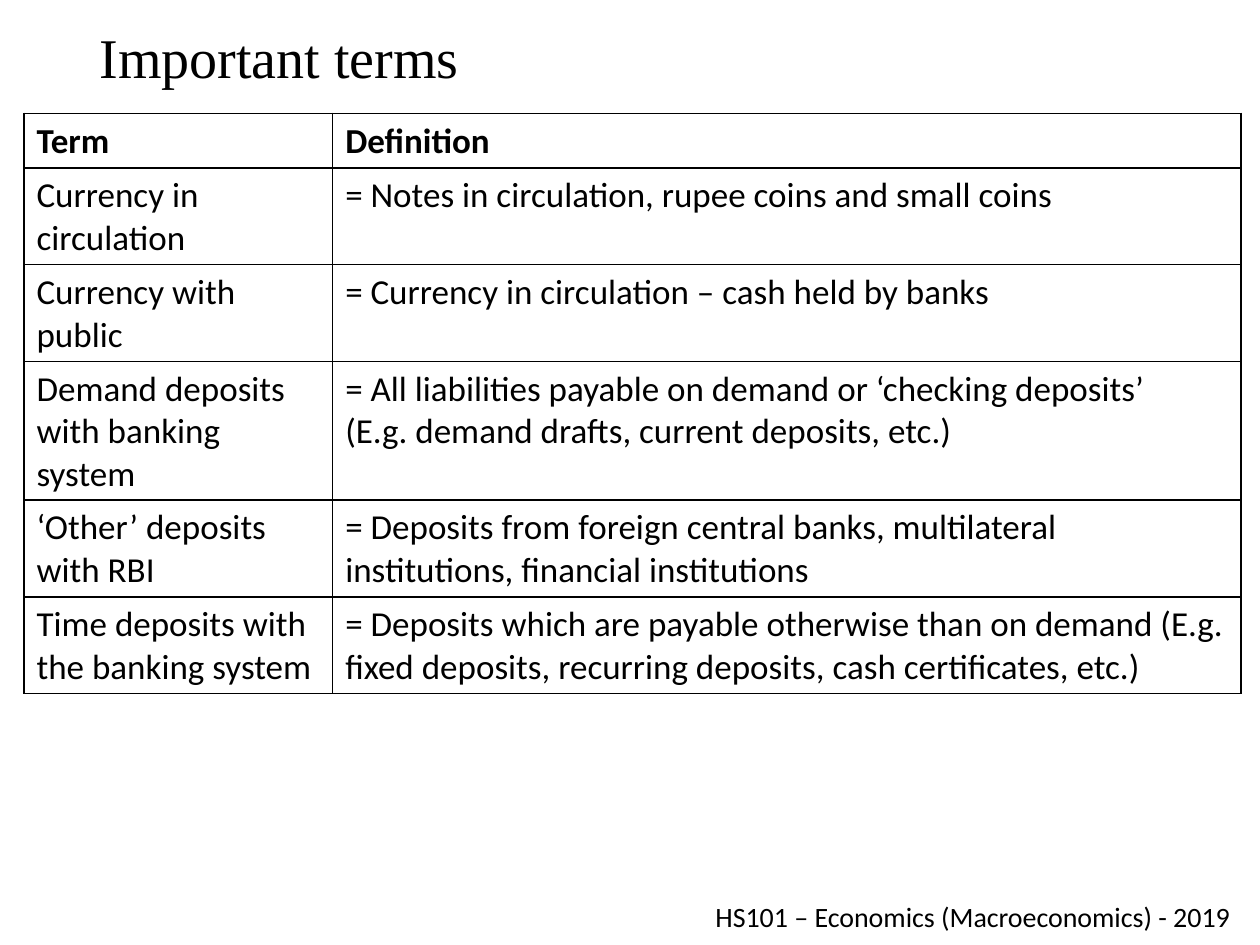
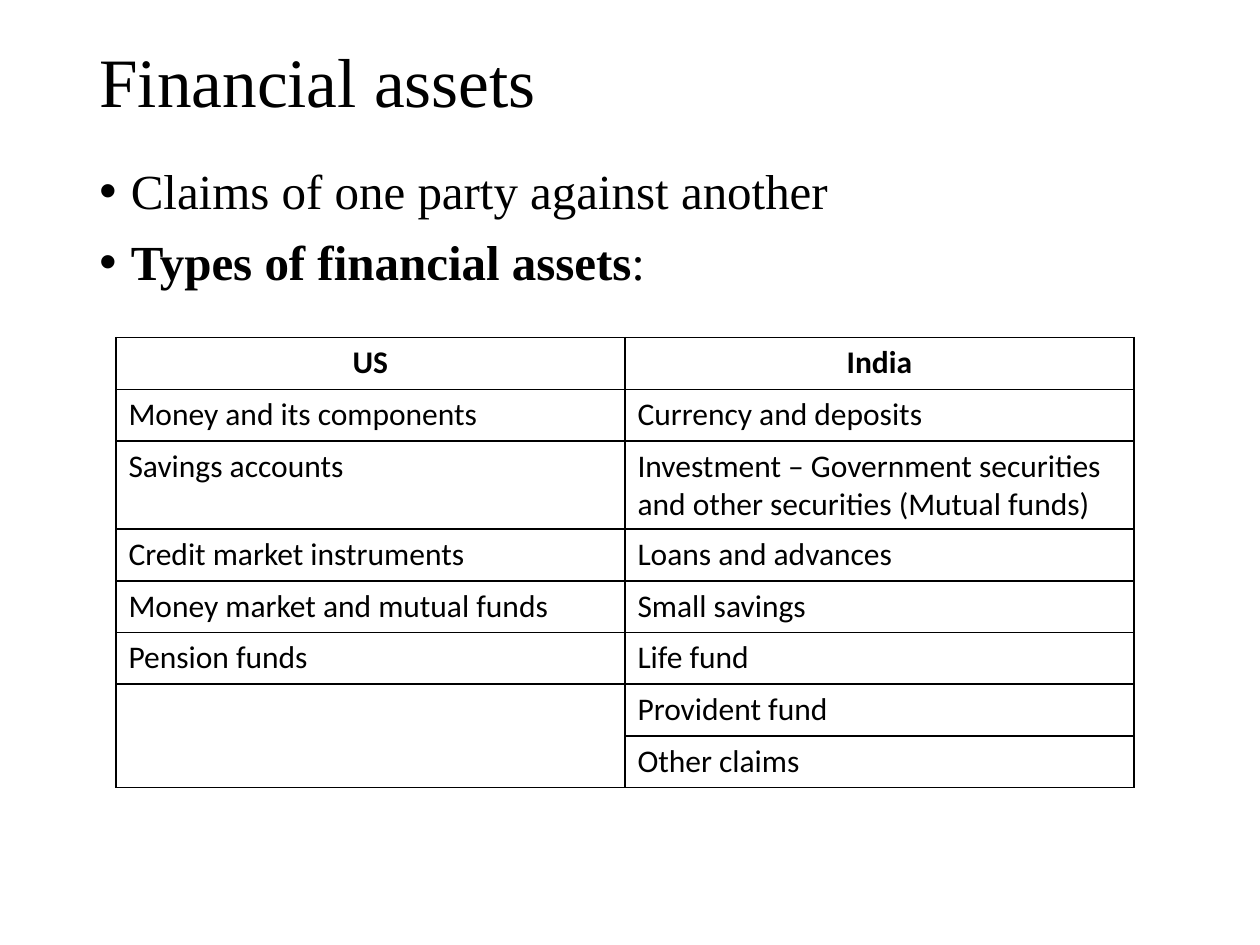
from dataclasses import dataclass

from lxml import etree
from pptx import Presentation
from pptx.dml.color import RGBColor
from pptx.enum.text import MSO_ANCHOR, PP_ALIGN
from pptx.oxml.ns import qn
from pptx.util import Inches, Pt

LEFT, CENTER = PP_ALIGN.LEFT, PP_ALIGN.CENTER
TOP, MIDDLE = MSO_ANCHOR.TOP, MSO_ANCHOR.MIDDLE
BLANK_LAYOUT = 6


@dataclass(frozen=True)
class Theme:
    ink: str = "000000"
    paper: str = "FFFFFF"
    heading_font: str = "Times New Roman"
    table_font: str = "Calibri"
    bullet_size: float = 28
    footer_size: float = 16
    border_width: float = 1
    line_spacing: float = 0.9


THEME = Theme()
TEXT_LEFT, TEXT_WIDTH = 0.69, 8.62

TERMS = [
    ("Term", "Definition"),
    ("Currency in circulation", "= Notes in circulation, rupee coins and small coins"),
    ("Currency with public", "= Currency in circulation – cash held by banks"),
    ("Demand deposits with banking system",
     "= All liabilities payable on demand or ‘checking deposits’\n"
     "(E.g. demand drafts, current deposits, etc.)"),
    ("‘Other’ deposits with RBI",
     "= Deposits from foreign central banks, multilateral institutions, financial institutions"),
    ("Time deposits with the banking system",
     "= Deposits which are payable otherwise than on demand "
     "(E.g. fixed deposits, recurring deposits, cash certificates, etc.)"),
]

ASSETS = [
    ("US", "India"),
    ("Money and its components", "Currency and deposits"),
    ("Savings accounts",
     "Investment – Government securities and other securities (Mutual funds)"),
    ("Credit market instruments", "Loans and advances"),
    ("Money market and mutual funds", "Small savings"),
    ("Pension funds", "Life fund"),
    ("", "Provident fund"),
    ("", "Other claims"),
]


def write_text(paragraph, text, *, size, font, color, bold=False, align=LEFT):
    paragraph.alignment = align
    run = paragraph.add_run()
    run.text = text
    run.font.size = Pt(size)
    run.font.name = font
    run.font.bold = bold
    run.font.color.rgb = RGBColor.from_string(color)


class Deck:
    def __init__(self, theme):
        self.theme = theme
        self.presentation = Presentation()
        self.presentation.slide_width = Inches(10)
        self.presentation.slide_height = Inches(7.5)
        self.slide = None

    def add_slide(self):
        layout = self.presentation.slide_layouts[BLANK_LAYOUT]
        self.slide = self.presentation.slides.add_slide(layout)
        fill = self.slide.background.fill
        fill.solid()
        fill.fore_color.rgb = RGBColor.from_string(self.theme.paper)

    def text_frame(self, left, top, width, height, anchor=TOP):
        box = self.slide.shapes.add_textbox(
            Inches(left), Inches(top), Inches(width), Inches(height))
        box.text_frame.word_wrap = True
        box.text_frame.vertical_anchor = anchor
        return box.text_frame

    def title(self, text, top, size):
        frame = self.text_frame(TEXT_LEFT, top, TEXT_WIDTH, 0.65, MIDDLE)
        paragraph = frame.paragraphs[0]
        paragraph.line_spacing = self.theme.line_spacing
        write_text(paragraph, text, size=size, font=self.theme.heading_font,
                   color=self.theme.ink)

    def bullets(self, items, top, height):
        frame = self.text_frame(TEXT_LEFT, top, TEXT_WIDTH, height)
        for index, runs in enumerate(items):
            paragraph = frame.add_paragraph() if index else frame.paragraphs[0]
            paragraph.line_spacing = self.theme.line_spacing
            paragraph.space_before = Pt(10)
            properties = paragraph._p.get_or_add_pPr()
            properties.set("marL", str(Inches(0.25)))
            properties.set("indent", str(Inches(-0.25)))
            etree.SubElement(properties, qn("a:buFont"), typeface="Arial")
            etree.SubElement(properties, qn("a:buChar"), char="•")
            for text, bold in runs:
                write_text(paragraph, text, size=self.theme.bullet_size,
                           font=self.theme.heading_font, color=self.theme.ink, bold=bold)

    def footer(self, text):
        frame = self.text_frame(5.58, 7.09, 4.4, 0.41)
        write_text(frame.paragraphs[0], text, size=self.theme.footer_size,
                   font=self.theme.table_font, color=self.theme.ink)

    def border(self, cell):
        properties = cell._tc.get_or_add_tcPr()
        for side in ("a:lnL", "a:lnR", "a:lnT", "a:lnB"):
            line = etree.SubElement(properties, qn(side), w=str(Pt(self.theme.border_width)))
            fill = etree.SubElement(line, qn("a:solidFill"))
            etree.SubElement(fill, qn("a:srgbClr"), val=self.theme.ink)

    def table(self, rows, left, top, widths, heights, size, header_align=LEFT):
        table = self.slide.shapes.add_table(
            len(rows), len(widths), Inches(left), Inches(top),
            Inches(sum(widths)), Inches(sum(heights))).table
        table.first_row = table.horz_banding = False
        for column, width in zip(table.columns, widths):
            column.width = Inches(width)
        for row_index, (row, height) in enumerate(zip(rows, heights)):
            table.rows[row_index].height = Inches(height)
            header = row_index == 0
            for column_index, text in enumerate(row):
                cell = table.cell(row_index, column_index)
                self.border(cell)
                cell.fill.background()
                lines = text.split("\n") if text else []
                for line_index, line in enumerate(lines):
                    frame = cell.text_frame
                    paragraph = frame.add_paragraph() if line_index else frame.paragraphs[0]
                    write_text(paragraph, line, size=size, font=self.theme.table_font,
                               color=self.theme.ink, bold=header,
                               align=header_align if header else LEFT)
        return table


def build_important_terms(deck):
    deck.add_slide()
    deck.title("Important terms", top=0.15, size=32)
    deck.table(TERMS, 0.19, 0.9, widths=[2.45, 7.21],
               heights=[0.42] * 3 + [0.72] * 3, size=20)
    deck.footer("HS101 – Economics (Macroeconomics) - 2019")


def build_financial_assets(deck):
    deck.add_slide()
    deck.title("Financial assets", top=0.35, size=39.6)
    deck.bullets([
        [("Claims of one party against another", False)],
        [("Types of financial assets", True), (":", False)],
    ], top=1.28, height=5.48)
    table = deck.table(ASSETS, 0.92, 2.68, widths=[4.04] * 2,
                       heights=[0.41] * len(ASSETS), size=18, header_align=CENTER)
    table.cell(6, 0).merge(table.cell(7, 0))


def main():
    deck = Deck(THEME)
    build_important_terms(deck)
    build_financial_assets(deck)
    deck.presentation.save("out.pptx")


if __name__ == "__main__":
    main()
